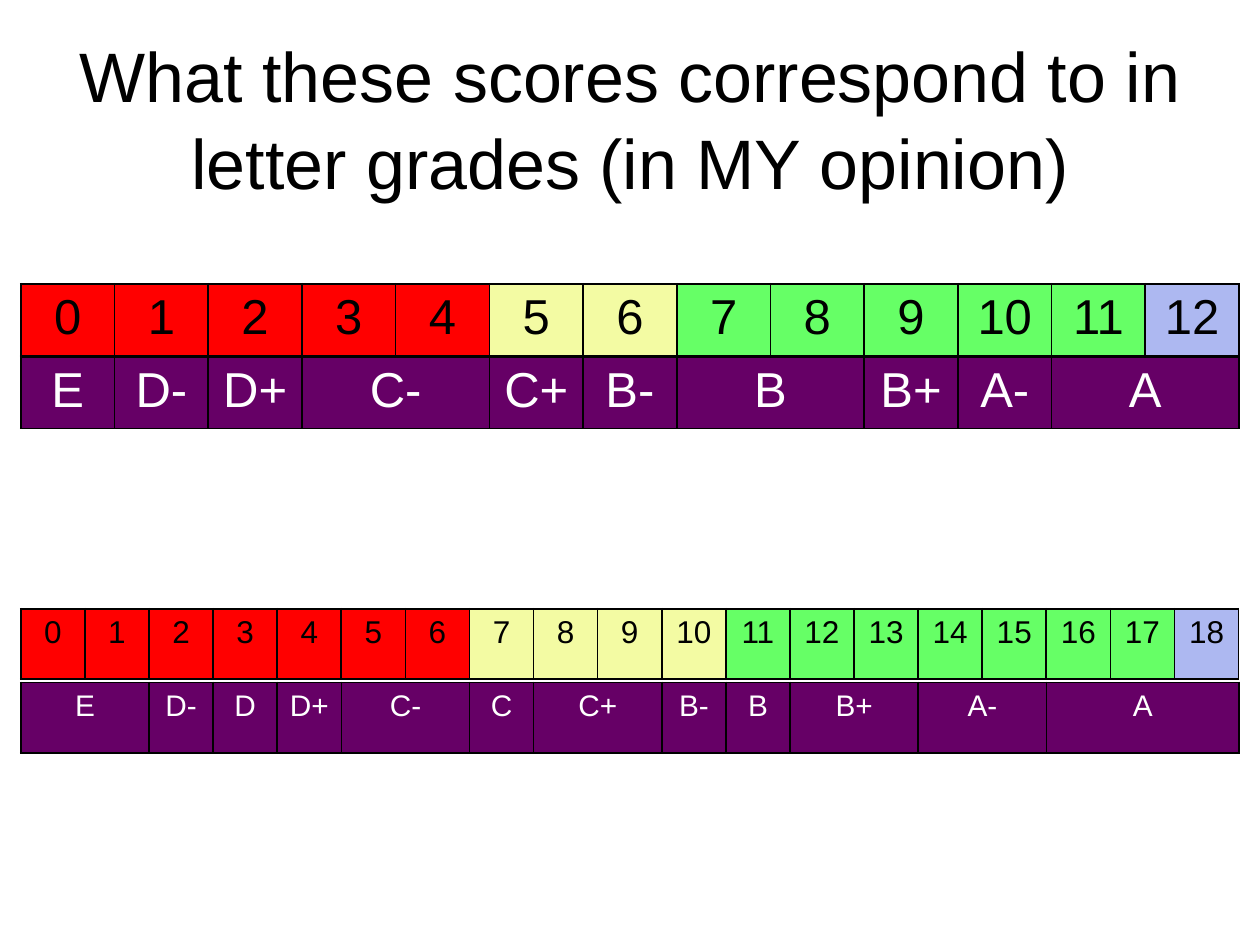
from dataclasses import dataclass
from lxml.etree import SubElement
from pptx import Presentation
from pptx.dml.color import RGBColor
from pptx.enum.text import MSO_ANCHOR, PP_ALIGN
from pptx.oxml.ns import qn
from pptx.util import Cm, Pt


@dataclass(frozen=True)
class Theme:
    font: str = "Arial"
    black: str = "000000"
    white: str = "FFFFFF"
    red: str = "FF0000"
    yellow: str = "F3FBA3"
    green: str = "66FF66"
    blue: str = "ADB8F1"
    purple: str = "660066"
    title: float = 40
    border: float = 1.08


theme = Theme()
TITLE = "What these scores correspond to in letter grades (in MY opinion)"

# Score bands: colour and number of scores. Grades: letter and scores covered.
SCALES = [
    {"bands": [(theme.red, 5), (theme.yellow, 2), (theme.green, 5), (theme.blue, 1)],
     "grades": [("E", 1), ("D-", 1), ("D+", 1), ("C-", 2), ("C+", 1), ("B-", 1),
                ("B", 2), ("B+", 1), ("A-", 1), ("A", 2)],
     "tops": (5.72, 7.19), "high": 1.44, "sizes": (28, 28), "gaps": (7, 7)},
    {"bands": [(theme.red, 7), (theme.yellow, 4), (theme.green, 7), (theme.blue, 1)],
     "grades": [("E", 2), ("D-", 1), ("D", 1), ("D+", 1), ("C-", 2), ("C", 1),
                ("C+", 2), ("B-", 1), ("B", 1), ("B+", 2), ("A-", 2), ("A", 3)],
     "tops": (12.27, 13.76), "high": 1.42, "sizes": (18, 17), "gaps": (4.5, 4.2)},
]
LEFT, WIDTH = 0.42, 24.56
CELL = {"margin_left": Cm(0.25), "margin_right": Cm(0.25),
        "margin_top": Cm(0.13), "margin_bottom": Cm(0.13),
        "vertical_anchor": MSO_ANCHOR.TOP}


def apply(item, values):
    for name, value in values.items():
        setattr(item, name, value)


def write(frame, text, size, color, **format):
    para = frame.paragraphs[0]
    apply(para, {"alignment": PP_ALIGN.CENTER, **format})
    run = para.add_run()
    run.text = text
    apply(run.font, {"name": theme.font, "size": Pt(size)})
    run.font.color.rgb = RGBColor.from_string(color)


def outline(cell):
    props = cell._tc.get_or_add_tcPr()
    for place, side in enumerate(("lnL", "lnR", "lnT", "lnB")):
        line = props.makeelement(qn(f"a:{side}"), {"w": str(Pt(theme.border))})
        fill = SubElement(line, qn("a:solidFill"))
        SubElement(fill, qn("a:srgbClr"), val=theme.black)
        props.insert(place, line)


def add_strip(slide, cells, top, high, size, gap, color):
    """Draw a one-row table from (text, fill, span) cells."""
    unit = WIDTH / sum(span for _, _, span in cells)
    table = slide.shapes.add_table(
        1, len(cells), Cm(LEFT), Cm(top), Cm(WIDTH), Cm(high)).table
    apply(table, {"first_row": False, "horz_banding": False})
    for col, (text, fill, span) in enumerate(cells):
        table.columns[col].width = Cm(unit * span)
        cell = table.cell(0, col)
        apply(cell, CELL)
        cell.fill.solid()
        cell.fill.fore_color.rgb = RGBColor.from_string(fill)
        outline(cell)
        write(cell.text_frame, text, size, color, space_before=Pt(gap))


def main():
    deck = Presentation()
    apply(deck, {"slide_width": Cm(25.4), "slide_height": Cm(19.05)})
    slide = deck.slides.add_slide(deck.slide_layouts[6])

    box = slide.shapes.add_textbox(Cm(1.27), Cm(0.76), Cm(22.86), Cm(3.18))
    apply(box.text_frame, {"word_wrap": True, "vertical_anchor": MSO_ANCHOR.MIDDLE})
    write(box.text_frame, TITLE, theme.title, theme.black, line_spacing=1.04)

    for scale in SCALES:
        fills = [fill for fill, count in scale["bands"] for _ in range(count)]
        scores = [(str(score), fill, 1) for score, fill in enumerate(fills)]
        grades = [(text, theme.purple, span) for text, span in scale["grades"]]
        rows = zip((scores, grades), scale["tops"], scale["sizes"], scale["gaps"],
                   (theme.black, theme.white))
        for cells, top, size, gap, color in rows:
            add_strip(slide, cells, top, scale["high"], size, gap, color)

    deck.save("out.pptx")


if __name__ == "__main__":
    main()
